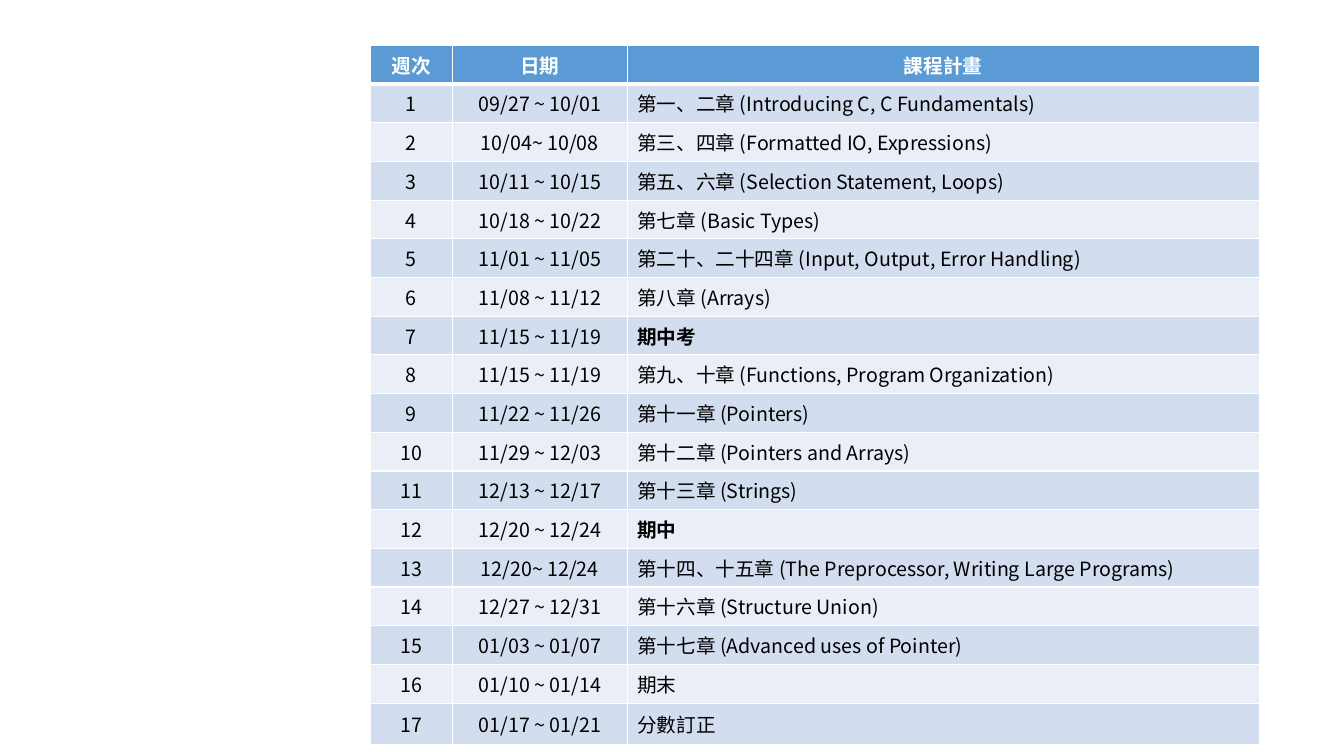
import pptx
import pptx.dml.color
import pptx.enum.text
import pptx.oxml
import pptx.oxml.ns
import pptx.util

PX = 9144
WHITE = pptx.dml.color.RGBColor(0xFF, 0xFF, 0xFF)
BLACK = pptx.dml.color.RGBColor(0x00, 0x00, 0x00)
HEADER_BLUE = pptx.dml.color.RGBColor(0x5B, 0x9B, 0xD5)
BAND_DARK = pptx.dml.color.RGBColor(0xD2, 0xDE, 0xEF)
BAND_LIGHT = pptx.dml.color.RGBColor(0xEA, 0xEF, 0xF7)

HEADINGS = ("週次", "日期", "課程計畫")
EXAMS = ("期中考", "期中")
WEEKS = [
    ("09/27 ~ 10/01", "第一、二章 (Introducing C, C Fundamentals)"),
    ("10/04~ 10/08", "第三、四章 (Formatted IO, Expressions)"),
    ("10/11 ~ 10/15", "第五、六章 (Selection Statement, Loops)"),
    ("10/18 ~ 10/22", "第七章 (Basic Types)"),
    ("11/01 ~ 11/05", "第二十、二十四章 (Input, Output, Error Handling)"),
    ("11/08 ~ 11/12", "第八章 (Arrays)"),
    ("11/15 ~ 11/19", "期中考"),
    ("11/15 ~ 11/19", "第九、十章 (Functions, Program Organization)"),
    ("11/22 ~ 11/26", "第十一章 (Pointers)"),
    ("11/29 ~ 12/03", "第十二章 (Pointers and Arrays)"),
    ("12/13 ~ 12/17", "第十三章 (Strings)"),
    ("12/20 ~ 12/24", "期中"),
    ("12/20~ 12/24", "第十四、十五章 (The Preprocessor, Writing Large Programs)"),
    ("12/27 ~ 12/31", "第十六章 (Structure Union)"),
    ("01/03 ~ 01/07", "第十七章 (Advanced uses of Pointer)"),
    ("01/10 ~ 01/14", "期末"),
    ("01/17 ~ 01/21", "分數訂正"),
]


class SchedulePage:
    font_name = "Noto Sans CJK SC"
    font_size = pptx.util.Pt(14)

    def __init__(self, deck):
        self.page = deck.slides.add_slide(deck.slide_layouts[6])

    def table(self, left, top, widths, heights, rows):
        frame = self.page.shapes.add_table(
            len(heights), len(widths), left * PX, top * PX,
            sum(widths) * PX, sum(heights) * PX)
        table = frame.table
        for column, width in zip(table.columns, widths):
            column.width = width * PX
        for row, height in zip(table.rows, heights):
            row.height = height * PX
        for row_index, texts in enumerate(rows):
            for column_index, text in enumerate(texts):
                self.cell(table.cell(row_index, column_index), text,
                          row_index, column_index)

    def cell(self, cell, text, row_index, column_index):
        header = row_index == 0
        self.borders(cell, top=3 if row_index == 1 else 1, bottom=3 if header else 1)
        cell.fill.solid()
        band = BAND_DARK if row_index % 2 else BAND_LIGHT
        cell.fill.fore_color.rgb = HEADER_BLUE if header else band
        cell.vertical_anchor = pptx.enum.text.MSO_ANCHOR.MIDDLE
        para = cell.text_frame.paragraphs[0]
        para.text = text
        centred = header or column_index < 2
        align = pptx.enum.text.PP_ALIGN
        para.alignment = align.CENTER if centred else align.LEFT
        para.font.name = self.font_name
        para.font.size = self.font_size
        para.font.bold = header or text in EXAMS
        para.font.color.rgb = WHITE if header else BLACK
        for properties in cell._tc.iter(pptx.oxml.ns.qn("a:defRPr")):
            properties.append(pptx.oxml.parse_xml(
                f'<a:ea {pptx.oxml.ns.nsdecls("a")} typeface="{self.font_name}"/>'))

    def borders(self, cell, top, bottom):
        properties = cell._tc.get_or_add_tcPr()
        for side, points in (("L", 1), ("R", 1), ("T", top), ("B", bottom)):
            properties.append(pptx.oxml.parse_xml(
                f'<a:ln{side} {pptx.oxml.ns.nsdecls("a")} w="{pptx.util.Pt(points)}">'
                f'<a:solidFill><a:srgbClr val="{WHITE}"/></a:solidFill></a:ln{side}>'))


def main():
    deck = pptx.Presentation()
    deck.slide_width = 1333 * PX
    deck.slide_height = 750 * PX
    rows = [HEADINGS]
    rows += [(str(week), *entry) for week, entry in enumerate(WEEKS, 1)]
    SchedulePage(deck).table(
        367, 45, widths=(82, 173, 627), heights=[36] * 16 + [38, 41], rows=rows)
    deck.save("out.pptx")


if __name__ == "__main__":
    main()
